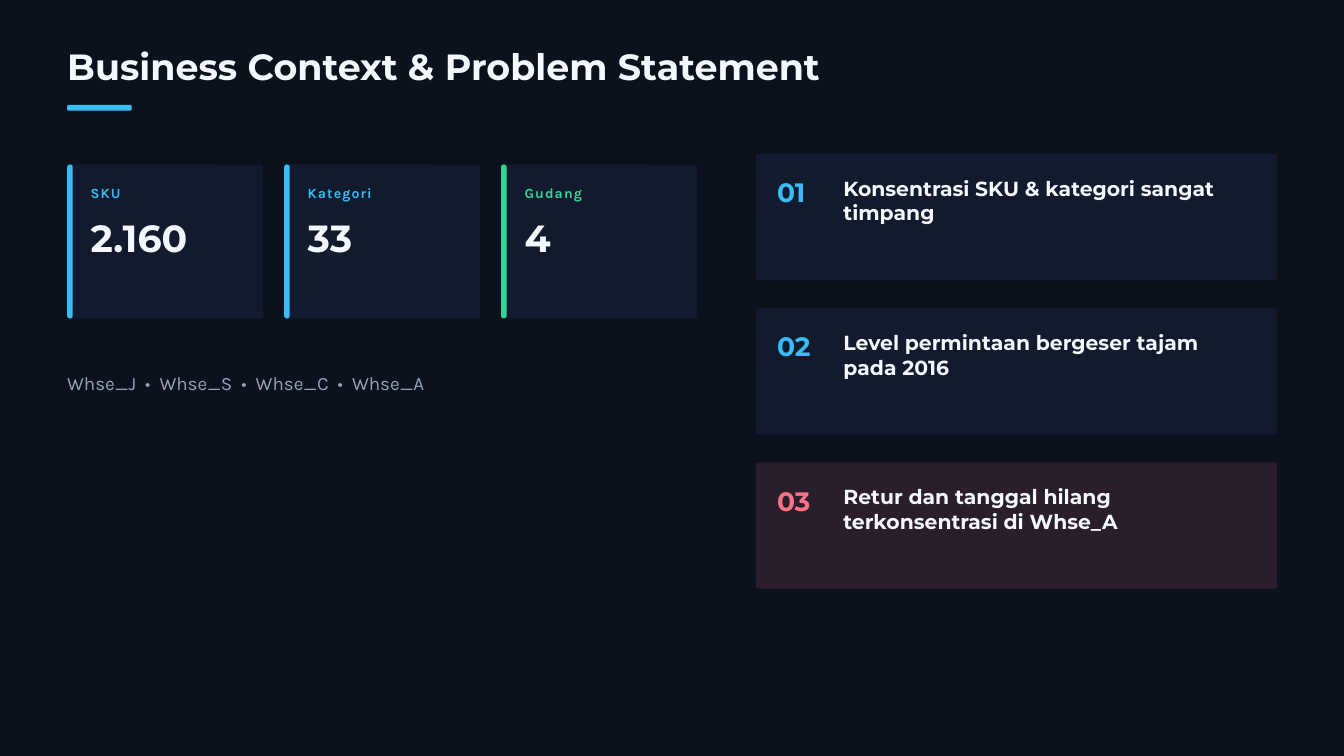
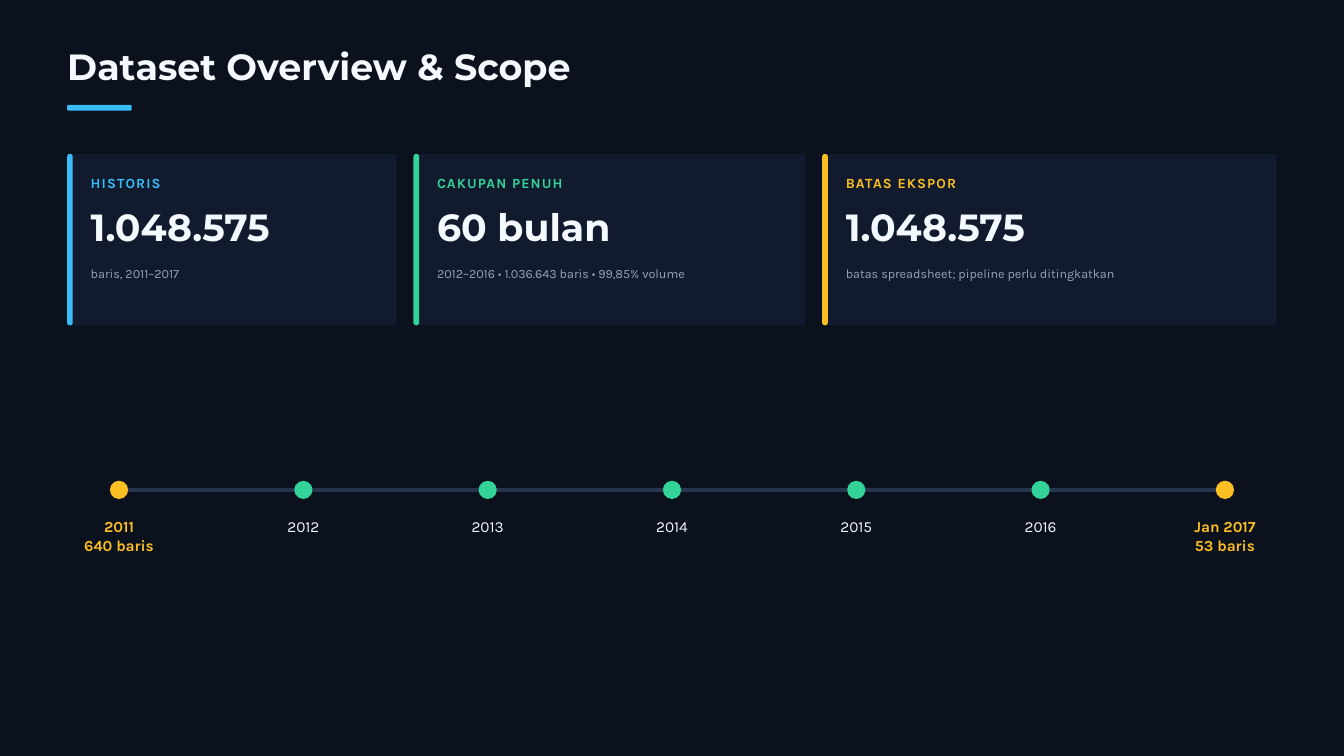
"""Build two dark slides: business context and dataset scope."""
from dataclasses import dataclass
from typing import Any, NamedTuple

from lxml import etree
from pptx import Presentation
from pptx import util as u
from pptx.dml import color
from pptx.enum import shapes, text
from pptx.oxml import ns


@dataclass(frozen=True)
class Theme:
    """Colours, fonts and type sizes."""
    back: str = "0B111D"
    panel: str = "121B2D"
    alert: str = "2A1D2C"
    rail: str = "26344D"
    white: str = "F4F8FF"
    grey: str = "94A3B8"
    blue: str = "38BDF8"
    green: str = "34D399"
    amber: str = "FBBF24"
    rose: str = "FB7185"
    head: str = "Montserrat"
    body: str = "Karla"
    title: float = 39
    value: float = 40.5
    label: float = 15
    note: float = 13.5
    number: float = 28.5
    point: float = 21.8
    sites: float = 20.2
    year: float = 16.5


T = Theme()
LEFT = 2.54
ROUND = shapes.MSO_SHAPE.ROUNDED_RECTANGLE


class Box(NamedTuple):
    """A frame in centimetres."""
    x: float
    y: float
    w: float
    h: float

    def cm(self) -> list[u.Cm]:
        """Return the frame as lengths."""
        return [u.Cm(side) for side in self]


@dataclass
class Card:
    """A figure with a label, a colour bar and an optional note."""
    label: str
    value: str
    tint: str
    width: float
    note: str = ""


@dataclass
class Point:
    """A numbered problem."""
    words: str
    tint: str = T.blue
    fill: str = T.panel


@dataclass
class Stop:
    """A stop on the time line."""
    lines: str
    edge: bool = False


def rgb(code: str) -> color.RGBColor:
    """Turn a hex code into a colour."""
    return color.RGBColor.from_string(code)


def write(shape: Any, words: str, *, size: float, lead: float, font: str = T.body,
          tint: str = T.white, bold: bool = False, track: float = 0, gap: float = 0,
          align: Any = text.PP_ALIGN.LEFT) -> None:
    """Fill a shape with formatted text, one paragraph per line."""
    frame = shape.text_frame
    frame.word_wrap = True
    frame.auto_size = text.MSO_AUTO_SIZE.SHAPE_TO_FIT_TEXT
    frame.vertical_anchor = text.MSO_ANCHOR.TOP
    frame.margin_left = frame.margin_right = frame.margin_top = frame.margin_bottom = 0
    for i, line in enumerate(words.split("\n")):
        para = frame.add_paragraph() if i else frame.paragraphs[0]
        para.alignment, para.line_spacing = align, u.Pt(lead)
        parts = line.replace(" ", "\n \n").split("\n") if gap else [line]
        for part in parts:
            run = para.add_run()
            run.text = part
            run.font.name, run.font.size, run.font.bold = font, u.Pt(size), bold
            run.font.color.rgb = rgb(tint)
            space = gap if part == " " else track
            if space:
                run.font._element.set("spc", str(round(space * 100)))


def put(slide: Any, box: Box, words: str, **form: Any) -> None:
    """Add a text box."""
    write(slide.shapes.add_textbox(*box.cm()), words, **form)


def block(slide: Any, box: Box, fill: str, curve: float = 0.1, kind: Any = ROUND) -> None:
    """Add a filled shape with a corner radius in centimetres."""
    shape = slide.shapes.add_shape(kind, *box.cm())
    shape.shadow.inherit = False
    shape.fill.solid()
    shape.fill.fore_color.rgb = rgb(fill)
    shape.line.fill.background()
    if kind == ROUND:
        shape.adjustments[0] = min(0.5, curve / min(box.w, box.h))


def start(deck: Any, name: str) -> Any:
    """Add a slide with its title and underline."""
    slide = deck.slides.add_slide(deck.slide_layouts[5])
    title = slide.shapes.title
    title.left, title.top, title.width, title.height = Box(LEFT, 1.85, 39.67, 1.55).cm()
    write(title, name, size=T.title, lead=42.1, font=T.head, bold=True)
    block(slide, Box(LEFT, 3.97, 2.44, 0.21), T.blue, 0.05)
    return slide


def row(slide: Any, cards: list[Card], top: float, high: float, gap: float) -> None:
    """Draw figure cards from left to right."""
    x = LEFT
    for card in cards:
        block(slide, Box(x, top, card.width, high), T.panel)
        block(slide, Box(x, top, 0.21, high), card.tint)
        left, wide = x + 0.89, card.width - 1.8
        put(slide, Box(left, top + 0.66, wide, 0.71), card.label, size=T.label, lead=21,
            tint=card.tint, bold=True, track=1.2)
        put(slide, Box(left, top + 2.18, wide, 1.52), card.value, size=T.value, lead=40.5,
            font=T.head, bold=True)
        if card.note:
            put(slide, Box(left, top + 4.22, wide, 0.56), card.note, size=T.note,
                lead=16.9, tint=T.grey)
        x += card.width + gap


def stack(slide: Any, points: list[Point]) -> None:
    """Draw numbered problems from top to bottom."""
    x = 28.58
    for i, point in enumerate(points):
        y = 5.82 + i * 5.83
        block(slide, Box(x, y, 19.68, 4.77), point.fill, 0.05)
        put(slide, Box(x + 0.79, y + 0.64, 2.1, 1.3), f"{i + 1:02}", size=T.number,
            lead=39.9, font=T.head, tint=point.tint, bold=True)
        put(slide, Box(x + 3.3, y + 0.84, 15.08, 1.8), point.words, size=T.point,
            lead=26.1, font=T.head, bold=True)


def track(slide: Any, stops: list[Stop]) -> None:
    """Draw the time line with evenly spaced stops."""
    first, last, y, dot, wide = 4.5, 46.3, 18.52, 0.69, 4.24
    rail = slide.shapes.add_connector(shapes.MSO_CONNECTOR.STRAIGHT,
                                      u.Cm(first), u.Cm(y), u.Cm(last), u.Cm(y))
    rail.line.color.rgb, rail.line.width = rgb(T.rail), u.Pt(4.5)
    etree.SubElement(rail._element.spPr, ns.qn("a:effectLst"))
    step = (last - first) / (len(stops) - 1)
    for i, stop in enumerate(stops):
        x = first + i * step
        block(slide, Box(x - dot / 2, y - dot / 2, dot, dot),
              T.amber if stop.edge else T.green, kind=shapes.MSO_SHAPE.OVAL)
        high = 0.67 * len(stop.lines.split("\n"))
        put(slide, Box(x - wide / 2, 19.56, wide, high), stop.lines, size=T.year, lead=19.8,
            tint=T.amber if stop.edge else T.white, bold=stop.edge,
            align=text.PP_ALIGN.CENTER)


def context(deck: Any) -> None:
    """Build the business context slide."""
    slide = start(deck, "Business Context & Problem Statement")
    row(slide, [Card("SKU", "2.160", T.blue, 7.41),
                Card("Kategori", "33", T.blue, 7.41),
                Card("Gudang", "4", T.green, 7.41)], 6.22, 5.82, 0.79)
    stack(slide, [Point("Konsentrasi SKU & kategori sangat timpang"),
                  Point("Level permintaan bergeser tajam pada 2016"),
                  Point("Retur dan tanggal hilang terkonsentrasi di Whse_A",
                        T.rose, T.alert)])
    put(slide, Box(LEFT, 13.92, 22.48, 0.94), "Whse_J • Whse_S • Whse_C • Whse_A",
        size=T.sites, lead=28.4, tint=T.grey, gap=5)


def scope(deck: Any) -> None:
    """Build the dataset scope slide."""
    slide = start(deck, "Dataset Overview & Scope")
    row(slide, [Card("HISTORIS", "1.048.575", T.blue, 12.45, "baris, 2011–2017"),
                Card("CAKUPAN PENUH", "60 bulan", T.green, 14.81,
                     "2012–2016 • 1.036.643 baris • 99,85% volume"),
                Card("BATAS EKSPOR", "1.048.575", T.amber, 17.17,
                     "batas spreadsheet; pipeline perlu ditingkatkan")], 5.82, 6.48, 0.64)
    years = [Stop(str(year)) for year in range(2012, 2017)]
    track(slide, [Stop("2011\n640 baris", True), *years, Stop("Jan 2017\n53 baris", True)])


def main() -> None:
    """Build and save the deck."""
    deck = Presentation()
    deck.slide_width, deck.slide_height = u.Cm(50.8), u.Cm(28.58)
    fill = deck.slide_master.background.fill
    fill.solid()
    fill.fore_color.rgb = rgb(T.back)
    context(deck)
    scope(deck)
    deck.save("out.pptx")


if __name__ == "__main__":
    main()
